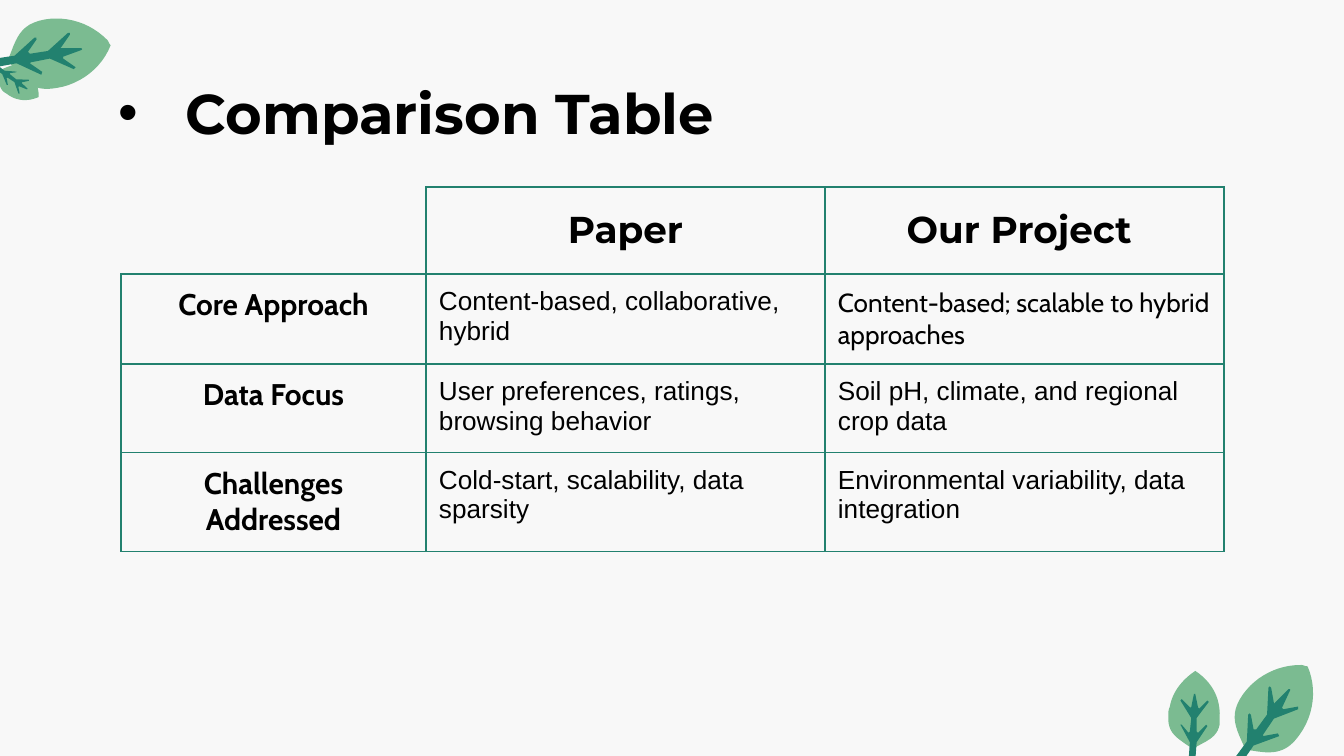
from math import cos, radians, sin

from lxml import etree
from pptx import Presentation
from pptx import util as u
from pptx.dml.color import RGBColor
from pptx.enum import text
from pptx.oxml.ns import qn

SCALE = 914400 / 134.4
INK, LEAF, STEM, PAPER = "000000", "7BBB91", "22816F", "F8F8F8"
PAD = 13

WIDE = {
    "grid": (66, 64),
    "blade": [(54, 0), (37, 0), (21, 8), (11, 22), (0, 38), (6, 47), (13, 63),
              (20, 64), (25, 65), (30, 65), (39, 65), (46, 62), (53, 52),
              (64, 37), (66, 17), (59, 1), (57, 1), (56, 0), (54, 0)],
    "vein": [(31, 16), (30, 17), (29, 37), (21, 48), (19, 48), (17, 37), (16, 36),
             (15, 37), (14, 57), (3, 72), (8, 76), (19, 60), (38, 53), (37, 51),
             (26, 53), (26, 52), (34, 40), (52, 33), (52, 31), (41, 33), (40, 32),
             (46, 19), (46, 18), (45, 18), (35, 28), (34, 29), (34, 28), (32, 17)],
}
SLIM = {
    "grid": (40, 58),
    "blade": [(2, 27), (1, 29), (1, 31), (1, 33), (0, 47), (8, 50), (19, 58),
              (29, 52), (37, 50), (39, 40), (39, 38), (39, 36), (39, 35),
              (40, 20), (33, 8), (21, 0), (12, 6), (4, 15), (2, 27)],
    "vein": [(10, 22), (18, 35), (17, 45), (16, 46), (11, 40), (10, 40), (17, 53),
             (16, 67), (21, 67), (22, 53), (30, 41), (29, 40), (23, 46), (22, 45),
             (22, 35), (31, 23), (30, 22), (24, 28), (23, 27), (21, 17), (20, 17),
             (18, 27), (17, 27), (11, 21)],
}
LEAVES = [
    (WIDE, (1228, 665, 89, 86), 0),
    (SLIM, (1167, 671, 54, 78), 0),
    (WIDE, (12, 7, 89, 86), 45),
    (SLIM, (3, 60, 33, 47), 123.3),
]
COLS = [305, 399, 399]
ROWS = [87, 90, 86, 99]
CELLS = [
    ["", "Paper", "Our Project "],
    ["Core Approach", "Content-based, collaborative, hybrid",
     "Content-based; scalable to hybrid approaches"],
    ["Data Focus", "User preferences, ratings, browsing behavior",
     "Soil pH, climate, and regional crop data"],
    ["Challenges Addressed", "Cold-start, scalability, data sparsity",
     "Environmental variability, data integration"],
]


def px(num):
    """Turn px into EMU."""
    return u.Emu(round(num * SCALE))


def tint(code):
    """Turn a hex string into a colour."""
    return RGBColor.from_string(code)


def write(para, words, size, font, bold):
    """Add one run of text to a paragraph."""
    run = para.add_run()
    run.text = words
    run.font.size = u.Pt(size)
    run.font.name = font
    run.font.bold = bold
    run.font.color.rgb = tint(INK)


def inset(frame):
    """Give a text box or cell equal margins."""
    frame.margin_left = frame.margin_right = px(PAD)
    frame.margin_top = frame.margin_bottom = px(PAD)


def curve(pts, steps=12):
    """Flatten a chain of cubic curves into points."""
    out = [pts[0]]
    for i in range(0, len(pts) - 1, 3):
        for k in range(1, steps + 1):
            t = k / steps
            part = ((1 - t) ** 3, 3 * t * (1 - t) ** 2, 3 * t * t * (1 - t), t ** 3)
            out.append(tuple(sum(w * p[a] for w, p in zip(part, pts[i:i + 4]))
                             for a in (0, 1)))
    return out


def leaf(slide, box, kind, turn):
    """Draw a blade and its vein, turned about the middle of the box."""
    x, y, w, h = box
    wide, high = kind["grid"]
    c, s = cos(radians(turn)), sin(radians(turn))
    for pts, code in ((curve(kind["blade"]), LEAF), (kind["vein"], STEM)):
        spots = []
        for a, b in pts:
            dx, dy = (a / wide - 0.5) * w, (b / high - 0.5) * h
            spots.append((px(x + w / 2 + c * dx - s * dy),
                          px(y + h / 2 + s * dx + c * dy)))
        pen = slide.shapes.build_freeform(*spots[0])
        pen.add_line_segments(spots[1:], close=True)
        shape = pen.convert_to_shape()
        shape.shadow.inherit = False
        shape.fill.solid()
        shape.fill.fore_color.rgb = tint(code)
        shape.line.fill.background()


def title(slide, box, words):
    """Place the bulleted heading."""
    frame = slide.shapes.add_textbox(*map(px, box)).text_frame
    frame.word_wrap = True
    inset(frame)
    para = frame.paragraphs[0]
    props = para._p.get_or_add_pPr()
    props.set("marL", str(px(67)))
    props.set("indent", str(px(-67)))
    shade = etree.SubElement(props, qn("a:buClr"))
    etree.SubElement(shade, qn("a:srgbClr"), val=INK)
    etree.SubElement(props, qn("a:buFont"), typeface="Arial")
    etree.SubElement(props, qn("a:buChar"), char="•")
    write(para, words, 30, "Montserrat", True)


def edge(cell, sides):
    """Rule the named sides of a cell and clear the others."""
    props = cell._tc.get_or_add_tcPr()
    for side in "LRTB":
        line = etree.SubElement(props, qn("a:ln" + side), w=str(u.Pt(0.75)))
        if side in sides:
            fill = etree.SubElement(line, qn("a:solidFill"))
            etree.SubElement(fill, qn("a:srgbClr"), val=STEM)
        else:
            etree.SubElement(line, qn("a:noFill"))


def style(row, col):
    """Pick size, font and weight by place in the table."""
    if row == 0:
        return 20, "Montserrat", True
    if col == 0:
        return 16, "Cabin", True
    return 14, "Cabin" if (row, col) == (1, 2) else "Arial", False


def grid(slide, box):
    """Place the comparison table."""
    table = slide.shapes.add_table(len(ROWS), len(COLS), *map(px, box)).table
    table.first_row = table.horz_banding = False
    for col, w in zip(table.columns, COLS):
        col.width = px(w)
    for row, h in zip(table.rows, ROWS):
        row.height = px(h)
    for r, line in enumerate(CELLS):
        for c, words in enumerate(line):
            cell = table.cell(r, c)
            edge(cell, "LRTB" if r or c else "RB")
            cell.fill.background()
            inset(cell)
            if r == 0:
                cell.vertical_anchor = text.MSO_ANCHOR.MIDDLE
            para = cell.text_frame.paragraphs[0]
            head = r == 0 or c == 0
            para.alignment = text.PP_ALIGN.CENTER if head else text.PP_ALIGN.LEFT
            if words:
                write(para, words, *style(r, c))


def main():
    """Build and save the slide."""
    deck = Presentation()
    deck.slide_width, deck.slide_height = px(1344), px(756)
    slide = deck.slides.add_slide(deck.slide_layouts[6])
    back = slide.background.fill
    back.solid()
    back.fore_color.rgb = tint(PAPER)
    for kind, box, turn in LEAVES:
        leaf(slide, box, kind, turn)
    title(slide, (106, 66, 1133, 85), "Comparison Table")
    grid(slide, (121, 187, sum(COLS), sum(ROWS)))
    deck.save("out.pptx")


if __name__ == "__main__":
    main()
